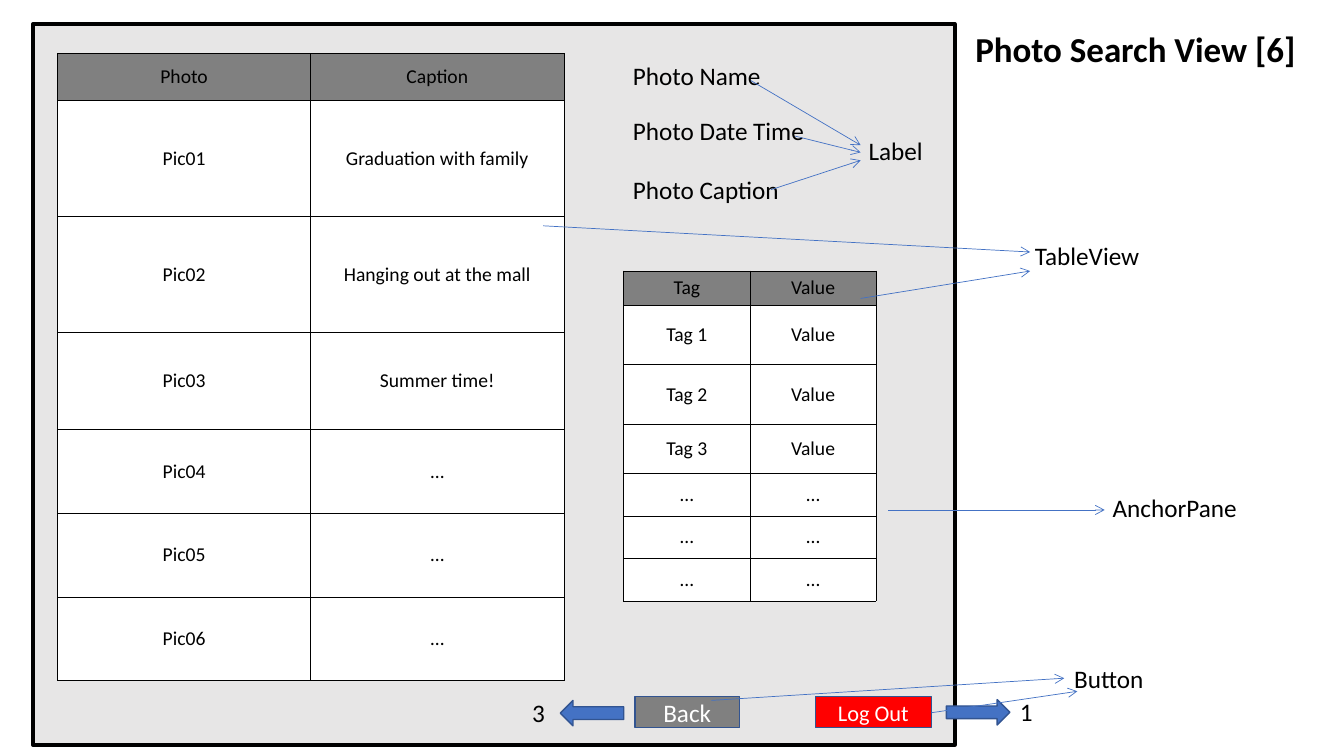
"""Build the annotated wireframe of the photo search view."""
from dataclasses import dataclass

from lxml.etree import SubElement
from pptx import Presentation
from pptx.dml.color import RGBColor
from pptx.enum.shapes import MSO_CONNECTOR, MSO_SHAPE
from pptx.enum.text import MSO_ANCHOR, PP_ALIGN
from pptx.oxml.ns import qn
from pptx.slide import Slide
from pptx.text.text import TextFrame
from pptx.util import Cm, Pt

FONT = "Calibri"
BLACK = RGBColor(0x00, 0x00, 0x00)
WHITE = RGBColor(0xFF, 0xFF, 0xFF)
PANE_GRAY = RGBColor(0xE7, 0xE6, 0xE6)
HEADER_GRAY = RGBColor(0x80, 0x80, 0x80)
RED = RGBColor(0xFF, 0x00, 0x00)
BLUE = RGBColor(0x44, 0x72, 0xC4)
DARK_BLUE = RGBColor(0x32, 0x54, 0x91)
DOTS = "…"


@dataclass(frozen=True)
class Block:
    """A filled preset shape, measured in centimetres."""
    left: float
    top: float
    width: float
    height: float
    fill: RGBColor
    kind: MSO_SHAPE = MSO_SHAPE.RECTANGLE
    line: RGBColor = DARK_BLUE
    line_width: float = 1
    text: str = ""
    size: float = 18
    rotation: float = 0


@dataclass(frozen=True)
class Label:
    """A line of free text, measured in centimetres."""
    text: str
    left: float
    top: float
    width: float
    height: float = 1.02
    size: float = 18
    bold: bool = False


@dataclass(frozen=True)
class Grid:
    """A two-column table with a gray header row."""
    left: float
    top: float
    column_width: float
    row_heights: tuple[float, ...]
    rows: tuple[tuple[str, str], ...]


@dataclass(frozen=True)
class Pointer:
    """A thin arrow from a control to the name of its type."""
    start: tuple[float, float]
    end: tuple[float, float]


BLOCKS = (
    Block(0.84, 0.61, 23.22, 18.16, PANE_GRAY, line=BLACK, line_width=3),
    Block(20.55, 17.55, 2.92, 0.79, RED, text="Log Out", size=16),
    Block(16, 17.55, 2.64, 0.79, HEADER_GRAY, text="Back"),
    Block(23.85, 17.63, 1.6, 0.64, BLUE, MSO_SHAPE.RIGHT_ARROW),
    Block(14.12, 17.65, 1.6, 0.64, BLUE, MSO_SHAPE.RIGHT_ARROW, rotation=180),
)
GRIDS = (
    Grid(1.45, 1.35, 6.38, (1.19, 2.92, 2.92, 2.44, 2.11, 2.11, 2.11), (
        ("Photo", "Caption"),
        ("Pic01", "Graduation with family"),
        ("Pic02", "Hanging out at the mall"),
        ("Pic03", "Summer time!"),
        *((f"Pic0{number}", DOTS) for number in (4, 5, 6)),
    )),
    Grid(15.72, 6.83, 3.18, (0.86, 1.5, 1.5, 1.24, 1.07, 1.07, 1.07), (
        ("Tag", "Value"),
        *((f"Tag {number}", "Value") for number in (1, 2, 3)),
        *((DOTS, DOTS),) * 3,
    )),
)
LABELS = (
    Label("Photo Search View [6]", 24.33, 0.58, 9.22, 1.32, 25, True),
    Label("1", 25.45, 17.42, 1.04),
    Label("3", 13.16, 17.45, 1.04),
    Label("Photo Name", 15.7, 1.4, 8.15),
    Label("Photo Date Time", 15.7, 2.79, 7.16),
    Label("Photo Caption", 15.7, 4.27, 6.48),
    Label("Label", 21.64, 3.28, 3.1),
    Label("Button", 26.82, 16.59, 3.1),
    Label("TableView", 25.83, 5.94, 5.05),
    Label("AnchorPane", 27.79, 12.27, 5.49),
)
POINTERS = (
    Pointer((18.92, 2.03), (21.69, 3.66)),
    Pointer((20.04, 3.43), (21.69, 3.84)),
    Pointer((19.43, 4.78), (21.69, 4.04)),
    Pointer((23.47, 17.96), (27.15, 17.42)),
    Pointer((17.93, 17.65), (26.82, 17.09)),
    Pointer((13.69, 5.69), (25.96, 6.35)),
    Pointer((21.69, 7.52), (25.96, 6.83)),
    Pointer((22.38, 12.85), (27.84, 12.85)),
)


def write(frame: TextFrame, text: str, size: float, color: RGBColor,
          align: PP_ALIGN = PP_ALIGN.LEFT, bold: bool = False) -> None:
    """Put one formatted paragraph into a text frame."""
    frame.text = text
    paragraph = frame.paragraphs[0]
    paragraph.alignment = align
    for run in paragraph.runs:
        run.font.name = FONT
        run.font.size = Pt(size)
        run.font.bold = bold
        run.font.color.rgb = color


def draw_block(slide: Slide, block: Block) -> None:
    """Draw a filled shape with its optional caption."""
    shape = slide.shapes.add_shape(
        block.kind, Cm(block.left), Cm(block.top), Cm(block.width), Cm(block.height))
    shape.shadow.inherit = False
    shape.rotation = block.rotation
    shape.fill.solid()
    shape.fill.fore_color.rgb = block.fill
    shape.line.color.rgb = block.line
    shape.line.width = Pt(block.line_width)
    if block.text:
        shape.text_frame.vertical_anchor = MSO_ANCHOR.MIDDLE
        write(shape.text_frame, block.text, block.size, WHITE, PP_ALIGN.CENTER)


def draw_label(slide: Slide, label: Label) -> None:
    """Draw a free text label."""
    box = slide.shapes.add_textbox(
        Cm(label.left), Cm(label.top), Cm(label.width), Cm(label.height))
    box.text_frame.word_wrap = True
    write(box.text_frame, label.text, label.size, BLACK, bold=label.bold)


def draw_grid(slide: Slide, grid: Grid) -> None:
    """Draw a table with thin black cell borders."""
    table = slide.shapes.add_table(
        len(grid.rows), 2, Cm(grid.left), Cm(grid.top),
        Cm(2 * grid.column_width), Cm(sum(grid.row_heights))).table
    for column in table.columns:
        column.width = Cm(grid.column_width)
    for row_index, (height, texts) in enumerate(zip(grid.row_heights, grid.rows)):
        table.rows[row_index].height = Cm(height)
        for column_index, text in enumerate(texts):
            cell = table.cell(row_index, column_index)
            properties = cell._tc.get_or_add_tcPr()
            for side in ("lnL", "lnR", "lnT", "lnB"):
                border = SubElement(properties, qn(f"a:{side}"), w=str(Pt(0.5)))
                fill = SubElement(border, qn("a:solidFill"))
                SubElement(fill, qn("a:srgbClr"), val=str(BLACK))
            cell.fill.solid()
            cell.fill.fore_color.rgb = WHITE if row_index else HEADER_GRAY
            cell.vertical_anchor = MSO_ANCHOR.MIDDLE
            write(cell.text_frame, text, 14, BLACK, PP_ALIGN.CENTER)


def draw_pointer(slide: Slide, pointer: Pointer) -> None:
    """Draw a thin line with an open arrowhead at its end."""
    connector = slide.shapes.add_connector(
        MSO_CONNECTOR.STRAIGHT, *map(Cm, pointer.start + pointer.end))
    connector.line.color.rgb = BLUE
    connector.line.width = Pt(0.5)
    SubElement(connector.line._get_or_add_ln(), qn("a:tailEnd"), type="arrow")
    SubElement(connector._element.spPr, qn("a:effectLst"))


def main() -> None:
    """Assemble and save the presentation."""
    presentation = Presentation()
    presentation.slide_width = Cm(33.87)
    presentation.slide_height = Cm(19.05)
    slide = presentation.slides.add_slide(presentation.slide_layouts[6])
    for draw, items in ((draw_block, BLOCKS), (draw_grid, GRIDS),
                        (draw_label, LABELS), (draw_pointer, POINTERS)):
        for item in items:
            draw(slide, item)
    presentation.save("out.pptx")


main()
